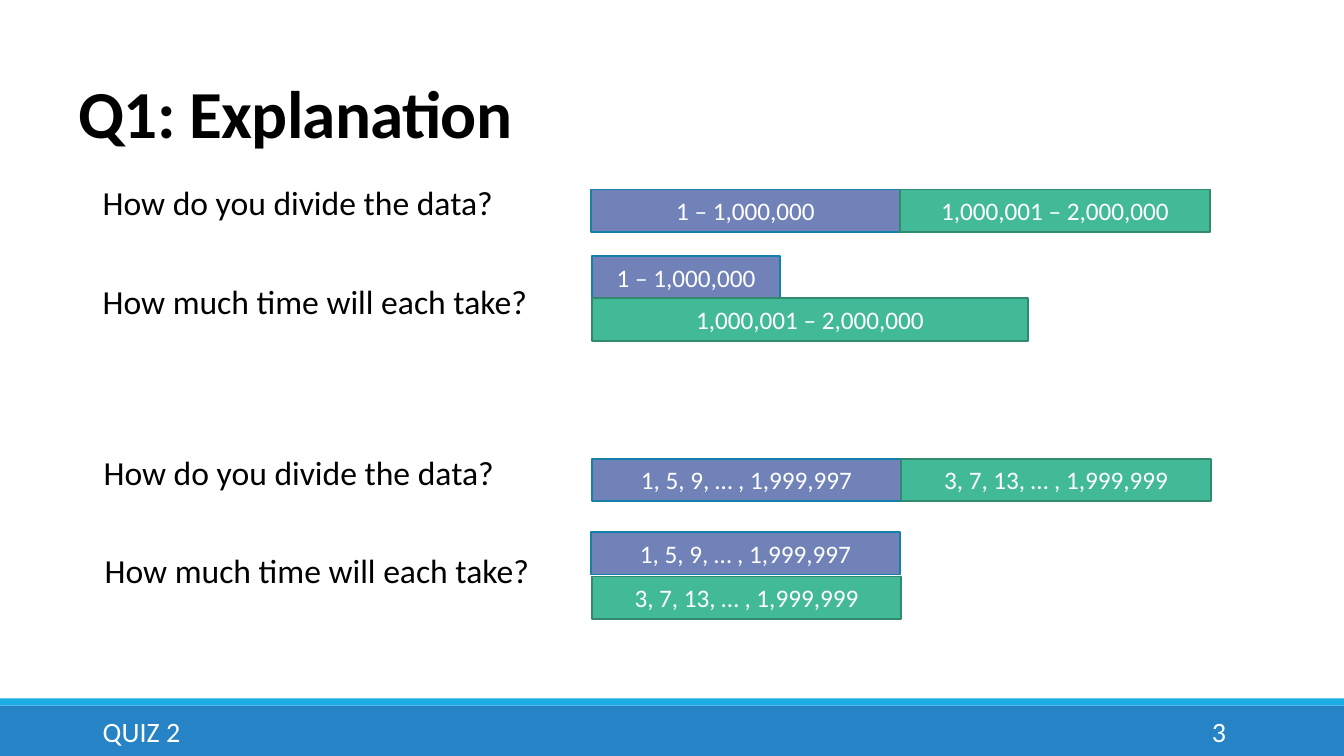
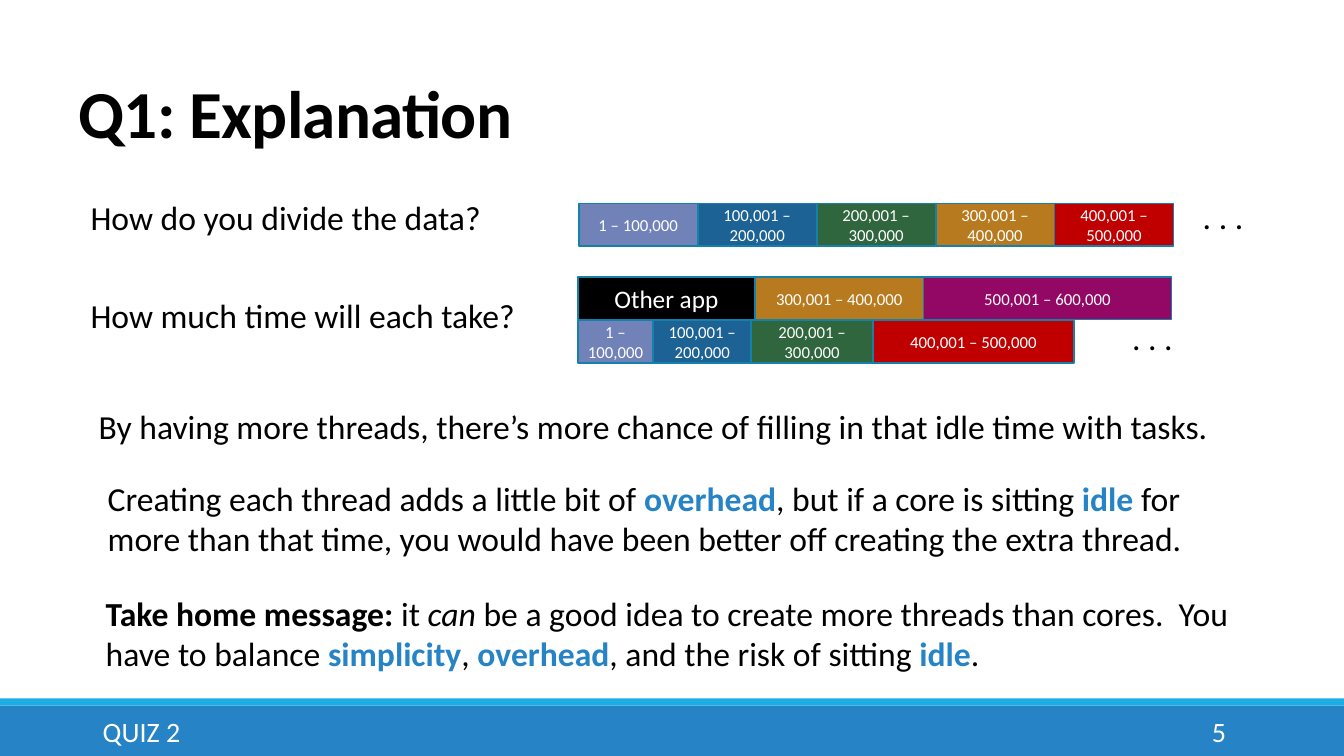
"""Build two quiz explanation slides on dividing work between threads."""
from pptx import Presentation
from pptx import util as u
from pptx.dml.color import RGBColor
from pptx.enum import shapes, text

PX = 9144
FONT = "Calibri"
COLORS = {
    "black": "000000", "white": "FFFFFF", "band": "2683C6", "stripe": "1CADE4",
    "edge": "1580A9", "green_edge": "318A70", "lilac": "7182B8", "green": "42BA97",
    "blue": "1D6294", "forest": "2F663E", "ochre": "B87A1E", "red": "C00000",
    "purple": "920864",
}
LEFT, CENTER, RIGHT = text.PP_ALIGN.LEFT, text.PP_ALIGN.CENTER, text.PP_ALIGN.RIGHT
TOP, MIDDLE, BOTTOM = text.MSO_ANCHOR.TOP, text.MSO_ANCHOR.MIDDLE, text.MSO_ANCHOR.BOTTOM
BAR_HEIGHT = 42
DIVIDE = "How do you divide the data?"
TIME = "How much time will each take?"


def write(slide, place, parts, size=24, color="black", align=LEFT, anchor=TOP, shape=None):
    """Write (words, style) parts into a shape or a new text box; return the paragraph."""
    box = shape or slide.shapes.add_textbox(*[n * PX for n in place])
    frame = box.text_frame
    frame.word_wrap = True
    frame.vertical_anchor = anchor
    paragraph = frame.paragraphs[0]
    paragraph.alignment = align
    for words, style in parts:
        run = paragraph.add_run()
        run.text = words
        run.font.name = FONT
        run.font.size = u.Pt(size)
        run.font.bold = style in ("bold", "key")
        run.font.italic = style == "italic"
        run.font.color.rgb = RGBColor.from_string(COLORS["band" if style == "key" else color])
    return paragraph


def block(slide, place, fill, edge=None):
    """Add a flat rectangle, outlined when an edge colour is given."""
    rect = slide.shapes.add_shape(shapes.MSO_SHAPE.RECTANGLE, *[n * PX for n in place])
    rect.shadow.inherit = False
    rect.fill.solid()
    rect.fill.fore_color.rgb = RGBColor.from_string(COLORS[fill])
    if edge:
        rect.line.color.rgb = RGBColor.from_string(COLORS[edge])
        rect.line.width = u.Pt(1.25)
    else:
        rect.line.fill.background()
    return rect


low, high = "1 – 1,000,000", "1,000,001 – 2,000,000"
odd_a, odd_b = "1, 5, 9, … , 1,999,997", "3, 7, 13, … , 1,999,999"
tasks = [
    ("1 – 100,000", "lilac"), ("100,001 – 200,000", "blue"),
    ("200,001 – 300,000", "forest"), ("300,001 – 400,000", "ochre"),
    ("400,001 – 500,000", "red"), ("500,001 – 600,000", "purple"),
]

pages = [
    {
        "number": "3",
        "texts": [
            ((92, 176, 417, 50), [(DIVIDE, "")]),
            ((92, 274, 466, 50), [(TIME, "")]),
            ((93, 443, 417, 50), [(DIVIDE, "")]),
            ((94, 541, 466, 50), [(TIME, "")]),
        ],
        "bar_size": 18,
        "bars": [
            (586, 188, [(307, low, "lilac"), (307, high, "green")]),
            (587, 254, [(187, low, "lilac")]),
            (587, 296, [(433, high, "green")]),
            (587, 455, [(307, odd_a, "lilac"), (307, odd_b, "green")]),
            (586, 528, [(307, odd_a, "lilac")]),
            (587, 572, [(307, odd_b, "green")]),
        ],
    },
    {
        "number": "5",
        "texts": [
            ((80, 190, 417, 50), [(DIVIDE, "")]),
            ((80, 288, 466, 50), [(TIME, "")]),
            ((1183, 189, 75, 50), [(". . .", "")]),
            ((1113, 309, 75, 50), [(". . .", "")]),
            ((88, 398, 1134, 50), [
                ("By having more threads, there’s more chance of filling in that idle time with tasks.", ""),
            ]),
            ((97, 469, 1134, 91), [
                ("Creating each thread adds a little bit of ", ""), ("overhead", "key"),
                (", but if a core is sitting ", ""), ("idle ", "key"),
                ("for more than that time, you would have been better off creating the extra thread.", ""),
            ]),
            ((95, 583, 1134, 91), [
                ("Take home message:", "bold"), (" it ", ""), ("can", "italic"),
                (" be a good idea to create more threads than cores.  You have to balance ", ""),
                ("simplicity", "key"), (", ", ""), ("overhead", "key"),
                (", and the risk of sitting ", ""), ("idle", "key"), (".", ""),
            ]),
        ],
        "bar_size": 12,
        "bars": [
            (574, 202, [(118, *task) for task in tasks[:5]]),
            (573, 275, [(176, "Other app", "black"), (167, *tasks[3]), (246, *tasks[5])]),
            (573, 318, [(75, *tasks[0]), (97, *tasks[1]), (121, *tasks[2]), (199, *tasks[4])]),
        ],
    },
]

deck = Presentation()
deck.slide_width, deck.slide_height = u.Inches(13.33), u.Inches(7.5)

for page in pages:
    slide = deck.slides.add_slide(deck.slide_layouts[6])
    block(slide, (0, 700, 1333, 50), "band")
    block(slide, (0, 693, 1333, 7), "stripe")
    title = write(slide, (68, 71, 1100, 85), [("Q1: Explanation", "bold")], 48, anchor=BOTTOM)
    title.line_spacing = 0.85
    title.runs[0].font._element.set("spc", "-50")
    write(slide, (92, 706, 839, 40), [("QUIZ 2", "")], 20, "white", anchor=MIDDLE)
    write(slide, (1083, 706, 143, 40), [(page["number"], "")], 20, "white", RIGHT, MIDDLE)

    for place, parts in page["texts"]:
        write(slide, place, parts)

    for left, top, segments in page["bars"]:
        for width, label, fill in segments:
            place = (left, top, width, BAR_HEIGHT)
            bar = block(slide, place, fill, "green_edge" if fill == "green" else "edge")
            size = 18 if fill == "black" else page["bar_size"]
            write(slide, place, [(label, "")], size, "white", CENTER, MIDDLE, bar)
            left += width

deck.save("out.pptx")
